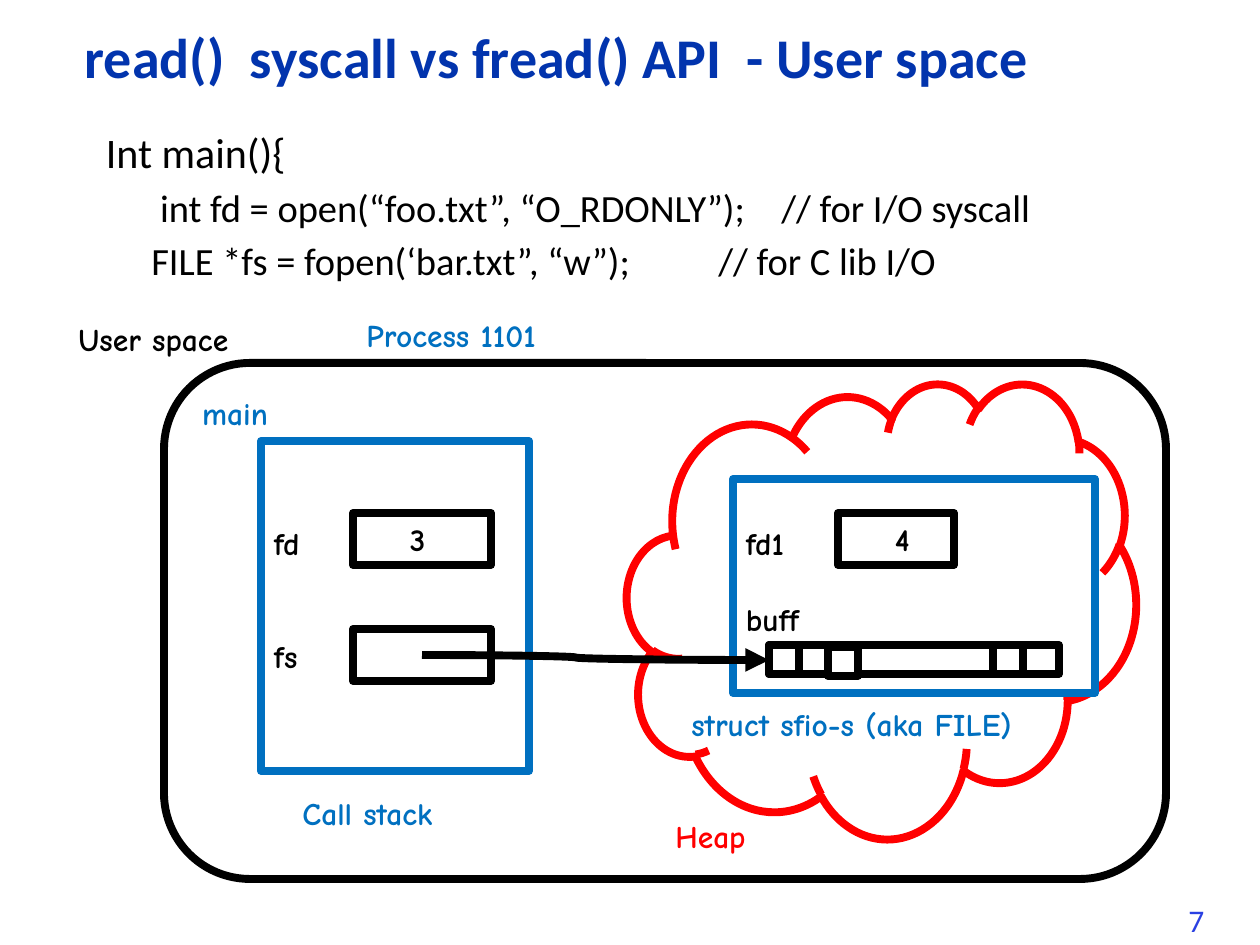
from dataclasses import dataclass
from typing import Optional

import lxml.etree
import pptx
import pptx.dml.color
import pptx.enum.shapes
import pptx.enum.text
import pptx.oxml.ns
import pptx.util

EMU_PER_PX = 914400 / 126
LINE_WIDTH = pptx.util.Pt(4.5)
BODY_FONT = "Calibri"
DIAGRAM_FONT = "Comic Neue"
COLOURS = {
    "black": "000000",
    "white": "FFFFFF",
    "blue": "0070C0",
    "red": "FF0000",
    "title": "0234AD",
    "number": "2A40E2",
}
SHAPES = pptx.enum.shapes.MSO_SHAPE
ANCHOR = pptx.enum.text.MSO_ANCHOR


@dataclass
class Label:
    text: str
    left: int
    top: int
    width: int
    colour: str
    height: int = 50
    font: str = DIAGRAM_FONT
    bold: bool = True


@dataclass
class Box:
    left: int
    top: int
    width: int
    height: int
    line: str = "black"
    kind: int = SHAPES.RECTANGLE
    lines: tuple[str, ...] = ()
    text_colour: str = "black"
    inset_left: int = 13
    inset_top: int = 6
    gap: int = 0
    anchor: int = ANCHOR.TOP


def px(value: int) -> pptx.util.Emu:
    return pptx.util.Emu(round(value * EMU_PER_PX))


def rgb(name: str) -> pptx.dml.color.RGBColor:
    return pptx.dml.color.RGBColor.from_string(COLOURS[name])


def format_paragraph(paragraph, font: str, size: int, colour: str, bold: bool) -> None:
    paragraph.alignment = pptx.enum.text.PP_ALIGN.LEFT
    for run in paragraph.runs:
        run.font.name = font
        run.font.size = pptx.util.Pt(size)
        run.font.bold = bold
        run.font.color.rgb = rgb(colour)


def add_label(slide, label: Label) -> None:
    shape = slide.shapes.add_textbox(
        px(label.left), px(label.top), px(label.width), px(label.height))
    shape.text_frame.word_wrap = True
    shape.text_frame.text = label.text
    format_paragraph(shape.text_frame.paragraphs[0], label.font, 18,
                     label.colour, label.bold)


def add_box(slide, box: Box) -> None:
    shape = slide.shapes.add_shape(
        box.kind, px(box.left), px(box.top), px(box.width), px(box.height))
    shape.shadow.inherit = False
    shape.fill.solid()
    shape.fill.fore_color.rgb = rgb("white")
    shape.line.color.rgb = rgb(box.line)
    shape.line.width = LINE_WIDTH
    if not box.lines:
        return
    frame = shape.text_frame
    frame.vertical_anchor = box.anchor
    frame.margin_left = px(box.inset_left)
    frame.margin_top = px(box.inset_top)
    frame.text = "\n".join(box.lines)
    for index, paragraph in enumerate(frame.paragraphs):
        format_paragraph(paragraph, DIAGRAM_FONT, 18, box.text_colour, True)
        if index:
            paragraph.space_before = pptx.util.Pt(box.gap)


def add_value_box(slide, left: int, top: int, width: int,
                  value: Optional[str] = None) -> None:
    add_box(slide, Box(left, top, width, 52, lines=(value,) if value else (),
                       inset_left=57, anchor=ANCHOR.MIDDLE))


def add_pointer(slide, start: tuple[int, int], end: tuple[int, int]) -> None:
    connector = slide.shapes.add_connector(
        pptx.enum.shapes.MSO_CONNECTOR.CURVE,
        px(start[0]), px(start[1]), px(end[0]), px(end[1]))
    connector.line.color.rgb = rgb("black")
    connector.line.width = LINE_WIDTH
    qn = pptx.oxml.ns.qn
    properties = connector.element.spPr
    guides = properties.find(qn("a:prstGeom")).find(qn("a:avLst"))
    lxml.etree.SubElement(guides, qn("a:gd"), name="adj1", fmla="val 44300")
    lxml.etree.SubElement(properties.find(qn("a:ln")), qn("a:tailEnd"), type="triangle")
    lxml.etree.SubElement(properties, qn("a:effectLst"))


def set_title(slide, text: str) -> None:
    title = slide.shapes.title
    title.left, title.top, title.width, title.height = px(72), px(24), px(987), px(73)
    frame = title.text_frame
    frame.auto_size = pptx.enum.text.MSO_AUTO_SIZE.NONE
    frame.vertical_anchor = ANCHOR.MIDDLE
    frame.text = text
    frame.paragraphs[0].line_spacing = 0.9
    format_paragraph(frame.paragraphs[0], BODY_FONT, 32, "title", True)


def add_code(slide, lines: tuple[str, ...]) -> None:
    shape = slide.shapes.add_textbox(px(84), px(126), px(1092), px(168))
    frame = shape.text_frame
    frame.word_wrap = True
    frame.text = "\n".join(lines)
    for index, paragraph in enumerate(frame.paragraphs):
        paragraph.line_spacing = 0.9
        format_paragraph(paragraph, BODY_FONT, 22 if index else 24, "black", False)
        if index:
            paragraph.space_before = pptx.util.Pt(6.6)
            properties = paragraph._p.get_or_add_pPr()
            properties.set("marL", str(px(55)))
            properties.set("indent", "0")


def main() -> None:
    presentation = pptx.Presentation()
    presentation.slide_width, presentation.slide_height = px(1260), px(945)
    slide = presentation.slides.add_slide(presentation.slide_layouts[5])

    # Title and code
    set_title(slide, "read()  syscall vs fread() API  - User space")
    add_code(slide, (
        " Int main(){",
        " int fd = open(“foo.txt”, “O_RDONLY”); \t// for I/O syscall",
        "FILE *fs = fopen(‘bar.txt”, “w”); \t\t// for C lib I/O",
    ))

    # Process with its call stack
    add_box(slide, Box(164, 363, 1002, 516, kind=SHAPES.ROUNDED_RECTANGLE,
                       lines=("main",), text_colour="blue"))
    add_box(slide, Box(261, 441, 268, 330, "blue", lines=("fd", "fs"),
                       inset_top=83, gap=43))
    add_value_box(slide, 353, 513, 138, "3")
    add_value_box(slide, 353, 629, 138)

    # Heap with the file structure and its buffer
    add_box(slide, Box(627, 383, 509, 455, "red", SHAPES.CLOUD))
    add_box(slide, Box(733, 479, 362, 214, "blue", lines=("fd1", "buff"),
                       inset_top=45, gap=22))
    add_value_box(slide, 838, 513, 116, "4")
    add_box(slide, Box(769, 645, 290, 29))
    add_pointer(slide, (422, 655), (769, 660))
    for left, top in ((769, 645), (828, 647), (993, 645)):
        add_box(slide, Box(left, top, 30, 29))

    # Labels and slide number
    for label in (
        Label("User space", 66, 314, 195, "black"),
        Label("Process 1101", 354, 310, 231, "blue"),
        Label("Call stack", 290, 788, 175, "blue"),
        Label("Heap", 663, 811, 102, "red"),
        Label("struct sfio-s (aka FILE)", 679, 699, 402, "blue"),
        Label("7", 1176, 895, 64, "number", font=BODY_FONT, bold=False),
    ):
        add_label(slide, label)

    presentation.save("out.pptx")


if __name__ == "__main__":
    main()
